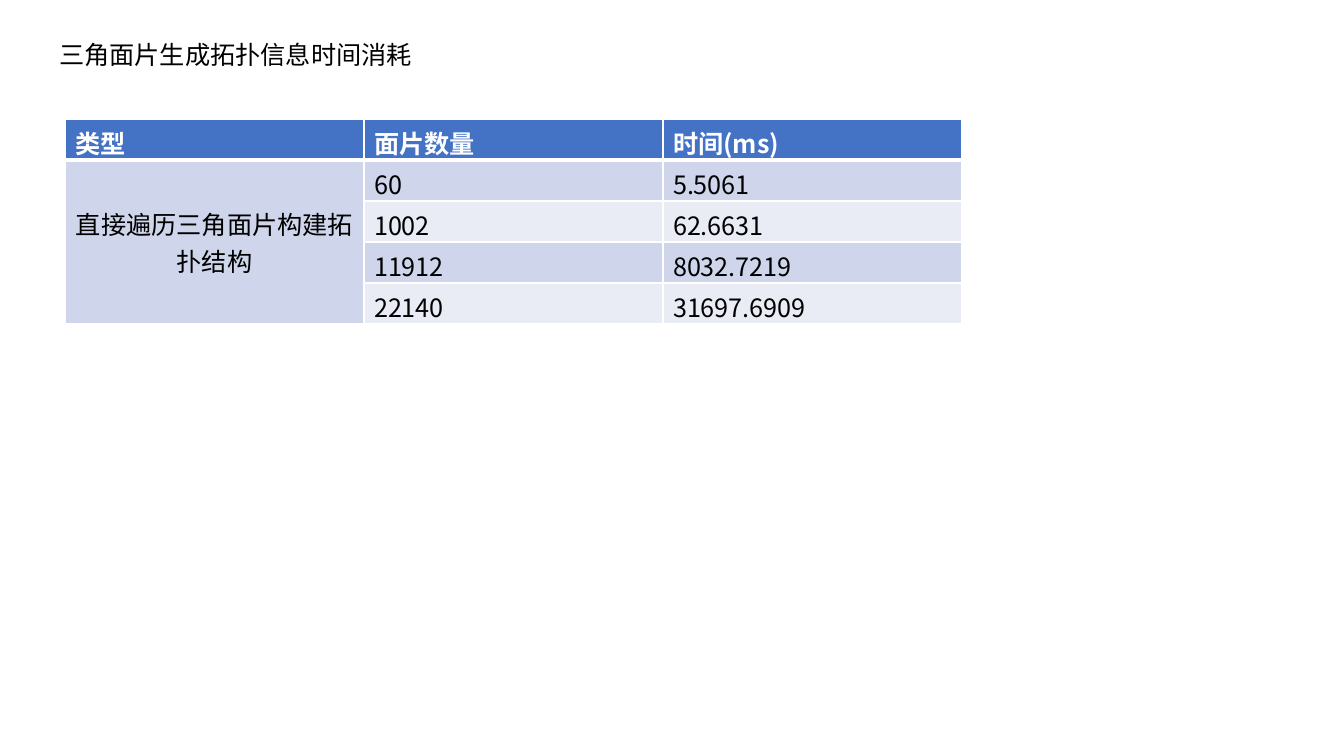
from lxml import etree
from pptx import Presentation
from pptx import util as u
from pptx.dml.color import RGBColor
from pptx.enum import text
from pptx.oxml.ns import qn

SCALE = 12192000 / 1344
FONT = "Noto Sans CJK SC"
COLORS = {
    "ink": "000000",
    "white": "FFFFFF",
    "header": "4472C4",
    "odd": "CFD5EA",
    "even": "E9EBF5",
}
HEADINGS = ["类型", "面片数量", "时间(ms)"]
METHOD = "直接遍历三角面片构建拓扑结构"
TIMINGS = [
    ("60", "5.5061"),
    ("1002", "62.6631"),
    ("11912", "8032.7219"),
    ("22140", "31697.6909"),
]


def px(length):
    return u.Emu(round(length * SCALE))


def color(name):
    return RGBColor.from_string(COLORS[name])


def set_values(target, values):
    for name, value in values.items():
        setattr(target, name, value)


def write(frame, words, ink="ink", bold=False, align=text.PP_ALIGN.LEFT):
    para = frame.paragraphs[0]
    para.alignment = align
    span = para.add_run()
    span.text = words
    set_values(span.font, {"name": FONT, "size": u.Pt(18), "bold": bold})
    span.font.color.rgb = color(ink)
    east_asian = etree.SubElement(span.font._element, qn("a:ea"))
    east_asian.set("typeface", FONT)


def add_title(page, words):
    title = page.shapes.title
    set_values(title, {"left": px(49), "top": px(34), "width": px(377), "height": px(40)})
    frame = title.text_frame
    set_values(frame, {
        "word_wrap": False,
        "auto_size": text.MSO_AUTO_SIZE.SHAPE_TO_FIT_TEXT,
        "vertical_anchor": text.MSO_ANCHOR.TOP,
    })
    write(frame, words)
    frame.paragraphs[0].line_spacing = 1.0


def set_borders(cell, top, bottom):
    properties = cell._tc.get_or_add_tcPr()
    for side, points in (("L", 1), ("R", 1), ("T", top), ("B", bottom)):
        line = etree.SubElement(properties, qn(f"a:ln{side}"), w=str(u.Pt(points)))
        fill = etree.SubElement(line, qn("a:solidFill"))
        etree.SubElement(fill, qn("a:srgbClr"), val=COLORS["white"])


def add_timing_table(page):
    rows = [HEADINGS] + [("", *timing) for timing in TIMINGS]
    size = len(rows), len(HEADINGS)
    table = page.shapes.add_table(*size, px(65), px(119), px(299 * size[1]), px(41 * size[0])).table
    for column in table.columns:
        column.width = px(299)
    for index, row in enumerate(rows):
        table.rows[index].height = px(41)
        header = index == 0
        band = "header" if header else "odd" if index % 2 else "even"
        for column, words in enumerate(row):
            cell = table.cell(index, column)
            set_borders(cell, 3 if index == 1 else 1, 3 if header else 1)
            cell.fill.solid()
            cell.fill.fore_color.rgb = color("odd" if column == 0 and not header else band)
            if words:
                write(cell.text_frame, words, "white" if header else "ink", header)
    method = table.cell(1, 0)
    method.merge(table.cell(len(TIMINGS), 0))
    method.vertical_anchor = text.MSO_ANCHOR.MIDDLE
    write(method.text_frame, METHOD, align=text.PP_ALIGN.CENTER)


def main():
    deck = Presentation()
    set_values(deck, {"slide_width": px(1344), "slide_height": px(756)})
    page = deck.slides.add_slide(deck.slide_layouts[5])
    add_title(page, "三角面片生成拓扑信息时间消耗")
    add_timing_table(page)
    deck.save("out.pptx")


if __name__ == "__main__":
    main()
